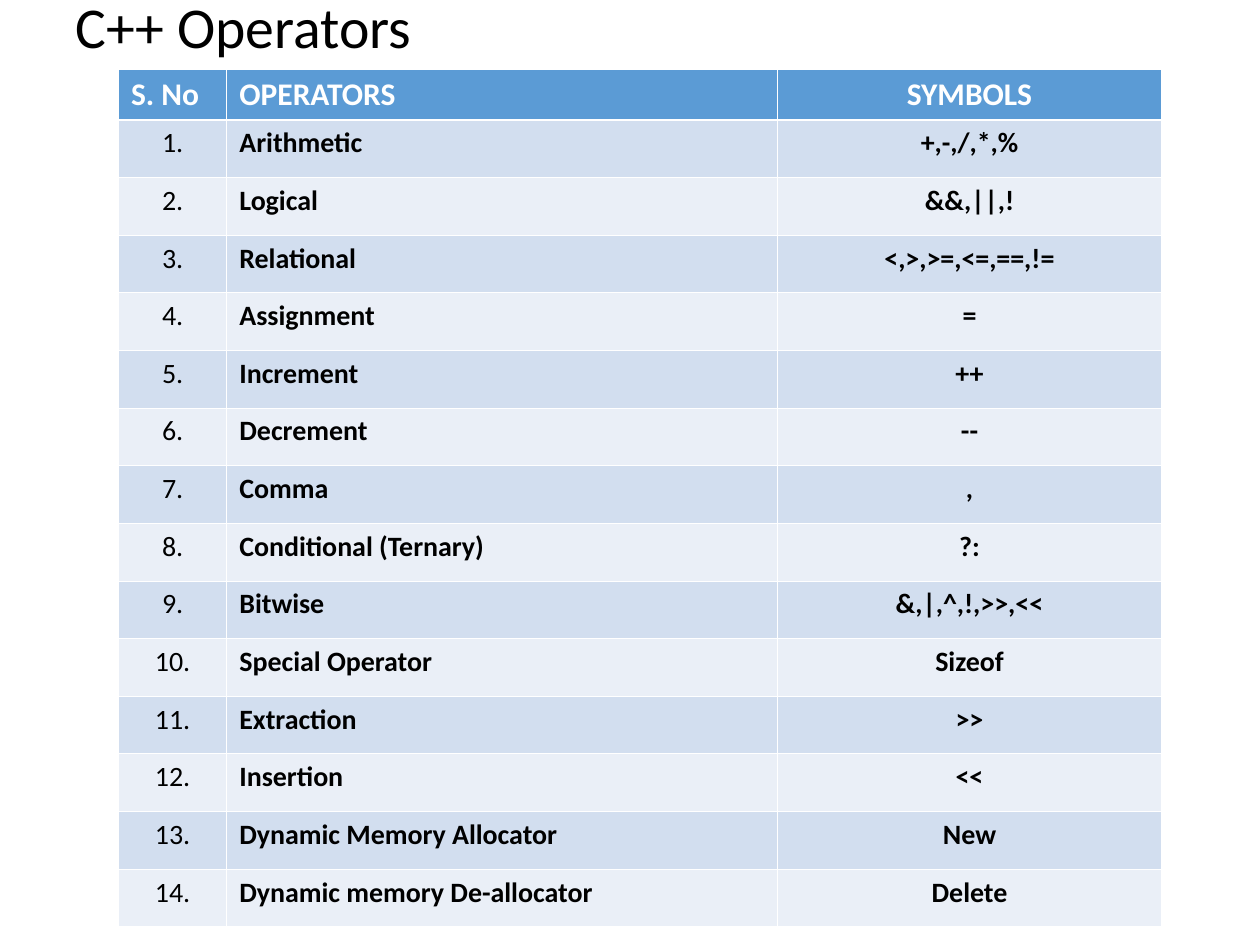
from lxml.etree import SubElement as Sub
from pptx import Presentation
from pptx.dml.color import RGBColor as RGB
from pptx.enum.text import MSO_ANCHOR as Anchor, PP_ALIGN as Align
from pptx.oxml.ns import qn
from pptx.util import Inches, Pt

COLORS = {
    "head": "5B9BD5",
    "odd": "D2DEEF",
    "even": "EAEFF7",
    "line": "FFFFFF",
    "light": "FFFFFF",
    "dark": "000000",
}
FONT = "Calibri"
THIN, THICK = 0.45, 1.47

HEADS = ["S. No", "OPERATORS", "SYMBOLS"]
OPERATORS = [
    ("Arithmetic", "+,-,/,*,%"),
    ("Logical", "&&,||,!"),
    ("Relational", "<,>,>=,<=,==,!="),
    ("Assignment", "="),
    ("Increment", "++"),
    ("Decrement", "--"),
    ("Comma", ","),
    ("Conditional (Ternary)", "?:"),
    ("Bitwise", "&,|,^,!,>>,<<"),
    ("Special Operator", "Sizeof"),
    ("Extraction", ">>"),
    ("Insertion", "<<"),
    ("Dynamic Memory Allocator", "New"),
    ("Dynamic memory De-allocator", "Delete"),
]


def color(name):
    return RGB.from_string(COLORS[name])


def style(para, size, ink, bold=False, align=Align.LEFT):
    para.alignment = align
    font = para.font
    font.name, font.size, font.bold = FONT, Pt(size), bold
    font.color.rgb = color(ink)


def add_title(slide, text, left, top, width, height):
    box = slide.shapes.add_textbox(left, top, width, height)
    frame = box.text_frame
    frame.word_wrap = True
    frame.vertical_anchor = Anchor.MIDDLE
    para = frame.paragraphs[0]
    para.text = text
    para.line_spacing = 0.9
    style(para, 33, "dark")


def add_borders(cell, top, bottom):
    """Draw the four cell edges; top and bottom are widths in points."""
    props = cell._tc.get_or_add_tcPr()
    for side, width in zip("LRTB", (THIN, THIN, top, bottom)):
        line = Sub(props, qn(f"a:ln{side}"), w=str(Pt(width)))
        fill = Sub(line, qn("a:solidFill"))
        Sub(fill, qn("a:srgbClr"), val=COLORS["line"])


def fill_cell(cell, row, col, text):
    is_head = row == 0
    add_borders(cell, THICK if row == 1 else THIN, THICK if is_head else THIN)
    cell.fill.solid()
    band = "head" if is_head else "odd" if row % 2 else "even"
    cell.fill.fore_color.rgb = color(band)
    para = cell.text_frame.paragraphs[0]
    para.text = text
    centred = col == 2 or (col == 0 and not is_head)
    style(para, 18 if is_head else 16, "light" if is_head else "dark",
          bold=is_head or col > 0,
          align=Align.CENTER if centred else Align.LEFT)


def add_operators(slide, left, top, width, height):
    rows = [HEADS]
    rows += [(f"{n}.", *pair) for n, pair in enumerate(OPERATORS, 1)]
    table = slide.shapes.add_table(
        len(rows), len(HEADS), left, top, width, height).table
    first, last = Inches(0.86), Inches(3.05)
    for col, size in zip(table.columns, (first, width - first - last, last)):
        col.width = size
    head = Inches(0.4)
    for r, texts in enumerate(rows):
        table.rows[r].height = (height - head) // len(OPERATORS) if r else head
        for c, text in enumerate(texts):
            fill_cell(table.cell(r, c), r, c, text)


def main():
    deck = Presentation()
    deck.slide_width, deck.slide_height = Inches(10), Inches(7.5)
    slide = deck.slides.add_slide(deck.slide_layouts[6])
    add_title(slide, "C++ Operators",
              Inches(0.5), Inches(-0.39), Inches(9), Inches(1.25))
    add_operators(slide, Inches(0.94), Inches(0.55),
                  Inches(8.28), Inches(6.81))
    deck.save("out.pptx")


if __name__ == "__main__":
    main()
